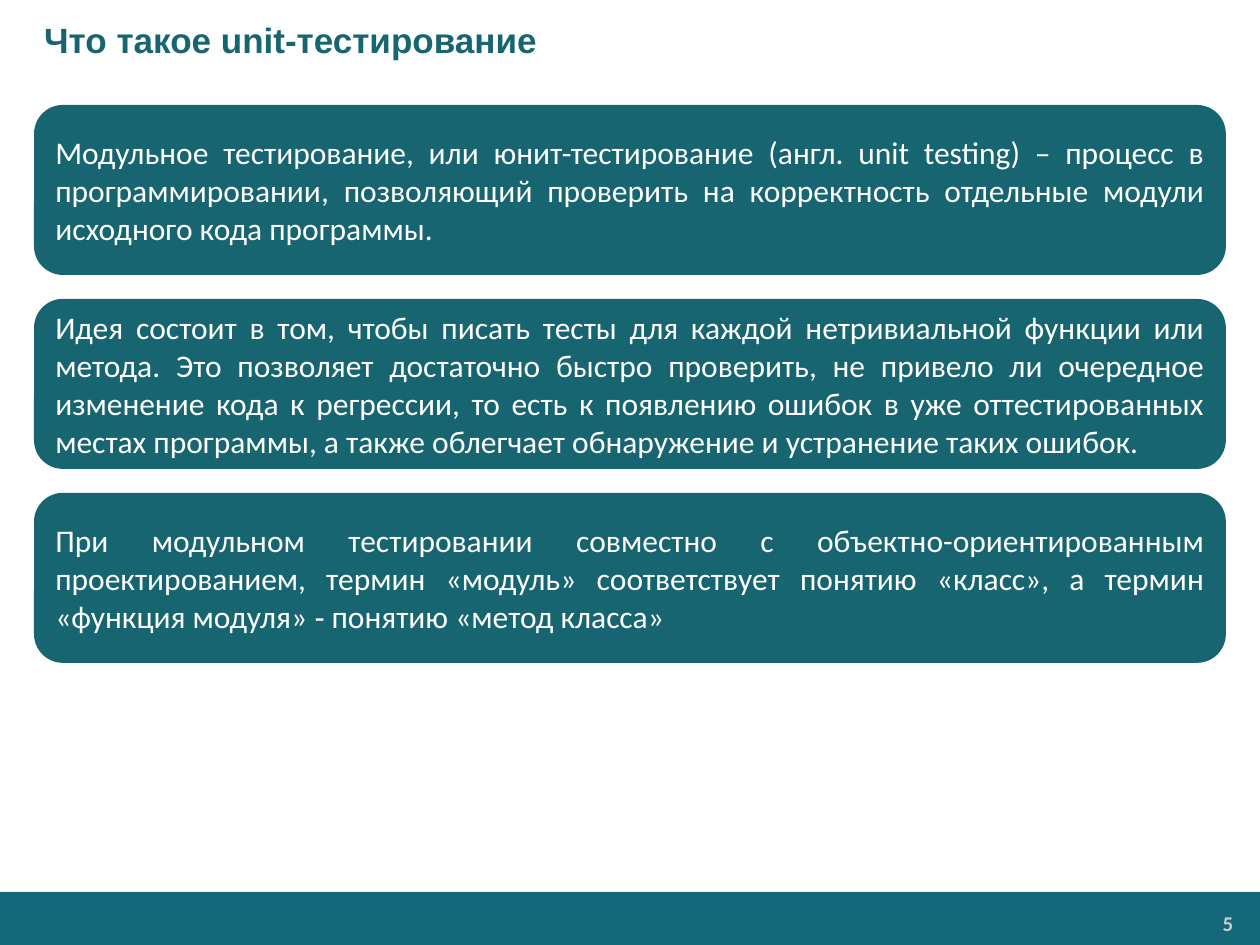
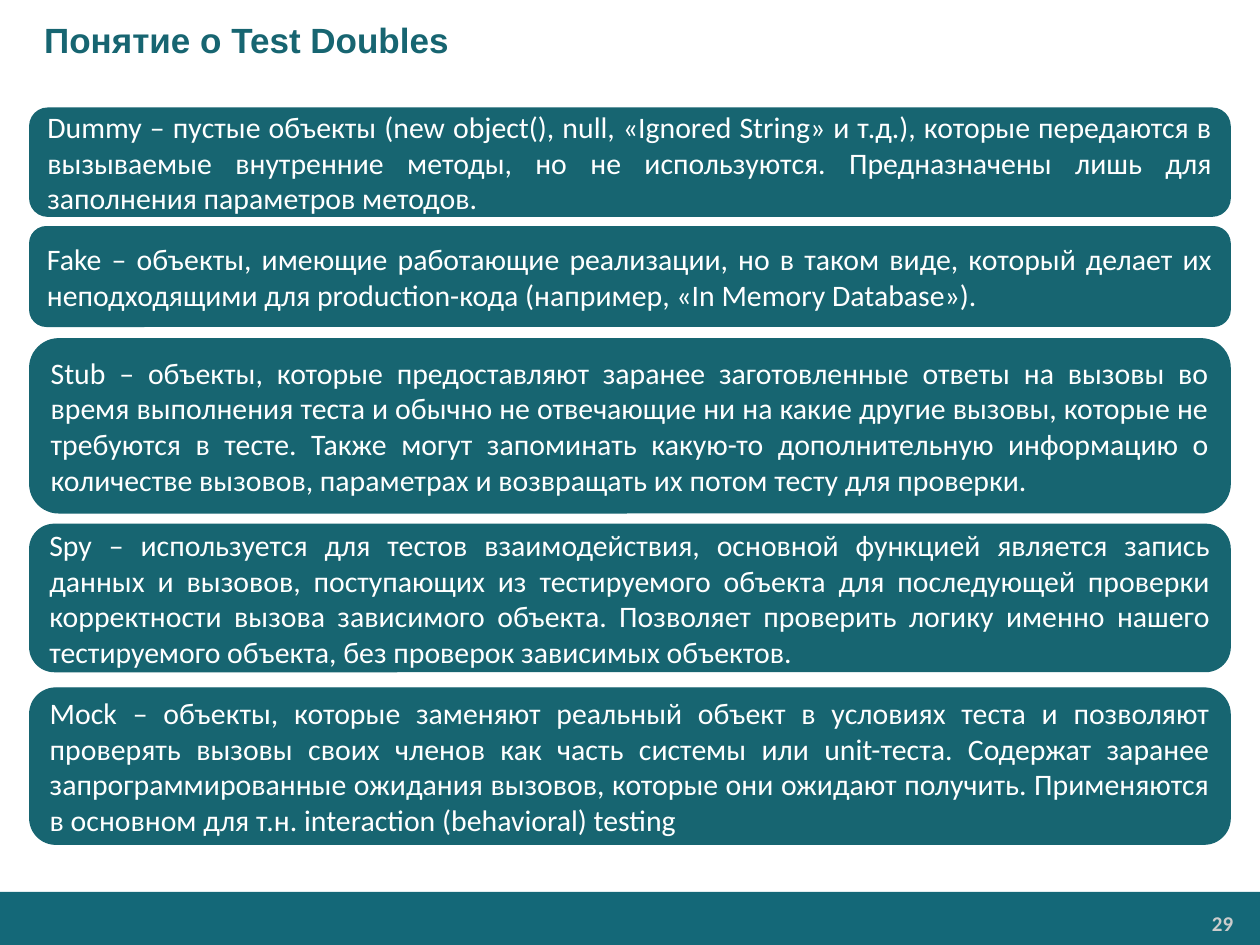
import pptx
import pptx.util
import pptx.dml.color
import pptx.enum.shapes
import pptx.enum.text

Cm = pptx.util.Cm
RGBColor = pptx.dml.color.RGBColor
SHAPE = pptx.enum.shapes.MSO_SHAPE
ALIGN = pptx.enum.text.PP_ALIGN
MIDDLE = pptx.enum.text.MSO_ANCHOR.MIDDLE

TEAL = RGBColor(0x17, 0x65, 0x71)
BAND = RGBColor(0x14, 0x68, 0x78)
WHITE = RGBColor(0xFF, 0xFF, 0xFF)
GREY = RGBColor(0xCC, 0xCC, 0xCC)
WIDTH, HEIGHT = 25.4, 19.05


def write(shape, text, size, color, align, font="Calibri", bold=False):
    frame = shape.text_frame
    frame.word_wrap = True
    frame.vertical_anchor = MIDDLE
    para = frame.paragraphs[0]
    para.text = text
    para.alignment = align
    para.font.name = font
    para.font.size = pptx.util.Pt(size)
    para.font.bold = bold
    para.font.color.rgb = color
    return frame


def block(slide, kind, left, top, width, height, color):
    shape = slide.shapes.add_shape(kind, Cm(left), Cm(top), Cm(width), Cm(height))
    shape.shadow.inherit = False
    shape.fill.solid()
    shape.fill.fore_color.rgb = color
    shape.line.color.rgb = color
    shape.line.width = pptx.util.Pt(0.75)
    return shape


# Cards of each slide: top, height, text
units = [
    "Модульное тестирование, или юнит-тестирование (англ. unit testing) – процесс в "
    "программировании, позволяющий проверить на корректность отдельные модули "
    "исходного кода программы.",
    "Идея состоит в том, чтобы писать тесты для каждой нетривиальной функции или "
    "метода. Это позволяет достаточно быстро проверить, не привело ли очередное "
    "изменение кода к регрессии, то есть к появлению ошибок в уже оттестированных "
    "местах программы, а также облегчает обнаружение и устранение таких ошибок.",
    "При модульном тестировании совместно с объектно-ориентированным "
    "проектированием, термин «модуль» соответствует понятию «класс», а термин "
    "«функция модуля» ‑ понятию «метод класса»",
]
unit_cards = [(2.13 + 3.91 * i, 3.4, text) for i, text in enumerate(units)]

double_cards = [
    (2.18, 2.18,
     "Dummy – пустые объекты (new object(), null, «Ignored String» и т.д.), которые "
     "передаются в вызываемые внутренние методы, но не используются. Предназначены "
     "лишь для заполнения параметров методов."),
    (4.57, 2.01,
     "Fake – объекты, имеющие работающие реализации, но в таком виде, который делает "
     "их неподходящими для production-кода (например, «In Memory Database»)."),
    (6.83, 3.51,
     "Stub – объекты, которые предоставляют заранее заготовленные ответы на вызовы во "
     "время выполнения теста и обычно не отвечающие ни на какие другие вызовы, которые "
     "не требуются в тесте. Также могут запоминать какую-то дополнительную информацию "
     "о количестве вызовов, параметрах и возвращать их потом тесту для проверки."),
    (10.57, 2.97,
     "Spy – используется для тестов взаимодействия, основной функцией является запись "
     "данных и вызовов, поступающих из тестируемого объекта для последующей проверки "
     "корректности вызова зависимого объекта. Позволяет проверить логику именно нашего "
     "тестируемого объекта, без проверок зависимых объектов."),
    (13.87, 3.15,
     "Mock – объекты, которые заменяют реальный объект в условиях теста и позволяют "
     "проверять вызовы своих членов как часть системы или unit-теста. Содержат заранее "
     "запрограммированные ожидания вызовов, которые они ожидают получить. Применяются "
     "в основном для т.н. interaction (behavioral) testing"),
]

# Title, page number, side margin, text size, cards
pages = [
    ("Что такое unit-тестирование", "5", 0.7, 18, unit_cards),
    ("Понятие о Test Doubles", "29", 0.6, 17, double_cards),
]

deck = pptx.Presentation()
deck.slide_width = Cm(WIDTH)
deck.slide_height = Cm(HEIGHT)

for title, number, side, size, cards in pages:
    slide = deck.slides.add_slide(deck.slide_layouts[6])

    # Footer band and page number
    band = block(slide, SHAPE.RECTANGLE, 0, 17.98, WIDTH, HEIGHT - 17.98, BAND)
    band.line.fill.background()
    box = slide.shapes.add_textbox(Cm(20.9), Cm(18.26), Cm(4.14), Cm(0.71))
    frame = write(box, number, 12, GREY, ALIGN.RIGHT, bold=True)
    frame.margin_left = frame.margin_right = Cm(0.18)
    frame.margin_top = frame.margin_bottom = Cm(0.1)

    # Title
    box = slide.shapes.add_textbox(0, 0, Cm(WIDTH), Cm(1.6))
    frame = write(box, title, 20, TEAL, ALIGN.LEFT, "Arial", True)
    frame.margin_left = Cm(0.89)

    # Cards
    for top, height, text in cards:
        card = block(slide, SHAPE.ROUNDED_RECTANGLE, side, top,
                     WIDTH - 2 * side, height, TEAL)
        write(card, text, size, WHITE, ALIGN.JUSTIFY)

deck.save("out.pptx")
